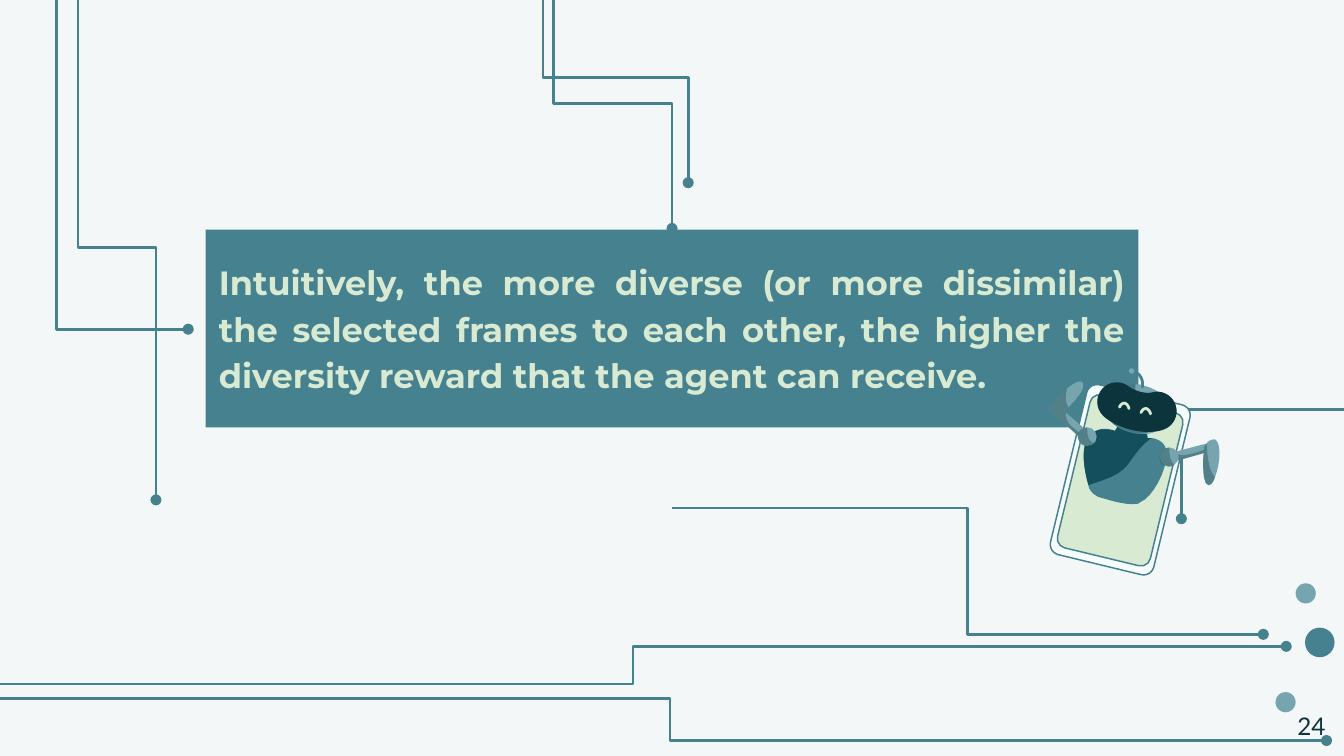
from dataclasses import dataclass
from typing import Optional

from lxml import etree
from pptx import Presentation
from pptx.dml.color import RGBColor
from pptx.enum.shapes import MSO_CONNECTOR, MSO_SHAPE
from pptx.enum.text import MSO_ANCHOR, PP_ALIGN
from pptx.oxml.ns import qn
from pptx.util import Inches, Pt

ELBOW = MSO_CONNECTOR.ELBOW
RECT, OVAL, ROUNDED = MSO_SHAPE.RECTANGLE, MSO_SHAPE.OVAL, MSO_SHAPE.ROUNDED_RECTANGLE
MIDDLE, TOP = MSO_ANCHOR.MIDDLE, MSO_ANCHOR.TOP
JUSTIFY, RIGHT = PP_ALIGN.JUSTIFY, PP_ALIGN.RIGHT


@dataclass(frozen=True)
class Theme:
    paper: str = "F3F7F8"
    teal: str = "45818E"
    mist: str = "76A5AF"
    deep: str = "134F5C"
    ink: str = "0C343D"
    mint: str = "D9EAD3"
    white: str = "F5FDFE"
    body_font: str = "Montserrat"
    number_font: str = "Lato"
    body_size: float = 18
    number_size: float = 13
    trace: float = 1.5
    outline: float = 0.78
    visor: float = 20.94


T = Theme()


@dataclass(frozen=True)
class Trace:
    x1: float
    y1: float
    x2: float
    y2: float
    vertical: bool = False
    bend_percent: Optional[float] = 50


@dataclass(frozen=True)
class Disc:
    x: float
    y: float
    size: float
    color: str = T.mist


@dataclass(frozen=True)
class Part:
    outline: str
    fill: Optional[str] = None
    alpha: int = 100
    line: Optional[str] = None
    width: float = T.trace


TRACES = [
    Trace(0.42, -0.21, 1.4, 2.45, True, None),
    Trace(0.58, -0.04, 1.16, 3.72, True),
    Trace(10.16, 2.23, 8.79, 3.86, True),
    Trace(-0.14, 5.2, 9.87, 5.51, bend_percent=51.2),
    Trace(-0.15, 5.09, 9.57, 4.81),
    Trace(4.12, -0.16, 5, 1.7, True),
    Trace(5, 3.78, 9.4, 4.72),
    Trace(4.04, -0.2, 5.12, 1.36, True),
]
DISCS = [Disc(9.71, 4.67, 0.22, T.teal), Disc(9.49, 5.15, 0.15), Disc(9.64, 4.34, 0.15)]

BODY = [
    Part("M 8.48 3.74 C 8.47 3.75 8.46 3.75 8.45 3.75 C 8.37 3.76 8.25 3.72 8.18 3.7 "
         "C 8.15 3.69 8.11 3.66 8.1 3.62 C 8.07 3.51 8.03 3.33 8.11 3.24 "
         "C 8.22 3.12 8.35 3.25 8.45 3.26 C 8.48 3.26 8.53 3.26 8.57 3.26 "
         "C 8.63 3.27 8.68 3.3 8.68 3.38 C 8.68 3.5 8.58 3.7 8.48 3.74", T.teal),
    Part("M 8.57 3.26 C 8.53 3.26 8.48 3.26 8.45 3.26 C 8.37 3.24 8.32 3.21 8.27 3.2 "
         "C 8.21 3.19 8.16 3.19 8.11 3.24 C 8.03 3.32 8.07 3.51 8.1 3.61 "
         "C 8.18 3.58 8.32 3.55 8.39 3.46 C 8.44 3.39 8.51 3.29 8.57 3.26", T.deep),
]
RIGHT_ARM = [
    Part("M 8.98 3.3 L 8.75 3.36 L 8.75 3.43 L 9 3.36 L 9 3.34", T.mist),
    Part("M 9 3.34 L 8.98 3.34 C 8.98 3.34 8.93 3.36 8.85 3.38 "
         "C 8.8 3.39 8.76 3.39 8.75 3.37 L 8.75 3.43 L 9 3.36", T.ink, 33),
    Part("M 9.04 3.27 C 9.01 3.27 8.99 3.28 8.98 3.3 C 8.97 3.31 8.96 3.33 8.96 3.33 "
         "C 8.96 3.33 8.93 3.59 8.99 3.61 C 9.01 3.61 9.03 3.59 9.04 3.55 "
         "C 9.08 3.46 9.09 3.29 9.04 3.27", T.mist),
    Part("M 8.98 3.3 C 8.97 3.31 8.96 3.33 8.96 3.33 C 8.96 3.33 8.93 3.59 8.99 3.61 "
         "C 9.01 3.61 9.03 3.59 9.04 3.55 C 8.99 3.5 8.98 3.36 8.98 3.3", T.ink, 33),
]
RIGHT_JOINT = Disc(8.63, 3.33, 0.14)
RIGHT_SHADE = [
    Part("M 8.7 3.33 C 8.67 3.33 8.64 3.35 8.63 3.39 C 8.62 3.42 8.64 3.46 8.68 3.47 "
         "C 8.7 3.48 8.72 3.47 8.74 3.46 C 8.7 3.43 8.7 3.36 8.7 3.33", T.ink, 33),
]
LEFT_ARM = [
    Part("M 7.89 3.03 L 7.84 3.08 L 8.03 3.25 L 8.05 3.24 L 8.07 3.19 L 7.93 3.07", T.mist),
    Part("M 7.88 3.03 L 7.84 3.08 L 8.03 3.25 L 8.05 3.24 C 8.05 3.24 8.03 3.22 7.97 3.17 "
         "C 7.93 3.13 7.93 3.09 7.93 3.07", T.ink, 33),
]
LEFT_JOINT = Disc(8.02, 3.18, 0.14)
LEFT_HAND = [
    Part("M 8.09 3.18 C 8.06 3.18 8.03 3.2 8.02 3.23 C 8.01 3.27 8.04 3.31 8.08 3.32 "
         "C 8.1 3.33 8.12 3.32 8.14 3.3 C 8.09 3.28 8.09 3.22 8.09 3.18", T.ink, 33),
    Part("M 8.05 2.84 C 8.03 2.83 7.99 2.85 7.94 2.89 C 7.87 2.94 7.79 3.03 7.81 3.06 "
         "C 7.82 3.08 7.83 3.08 7.84 3.09 C 7.87 3.09 7.9 3.07 7.9 3.07 "
         "C 7.9 3.07 7.93 3.05 7.95 3.03 C 8.01 2.97 8.09 2.88 8.05 2.84", T.mist),
    Part("M 7.94 2.89 C 7.87 2.94 7.79 3.03 7.81 3.06 C 7.82 3.08 7.83 3.08 7.84 3.09 "
         "C 7.87 3.09 7.9 3.07 7.9 3.07 C 7.9 3.07 7.93 3.05 7.95 3.03 "
         "C 7.92 2.99 7.93 2.93 7.94 2.89", T.ink, 33),
]
HEAD = [
    Part("M 8.51 3.19 C 8.47 3.19 8.44 3.19 8.42 3.19 C 8.4 3.18 8.39 3.17 8.36 3.15 "
         "C 8.33 3.15 8.31 3.18 8.3 3.2 C 8.29 3.22 8.29 3.23 8.31 3.25 "
         "C 8.34 3.27 8.37 3.29 8.39 3.29 C 8.43 3.3 8.46 3.3 8.51 3.29 "
         "C 8.54 3.29 8.54 3.28 8.54 3.26 C 8.54 3.24 8.53 3.21 8.51 3.19", T.deep),
    Part("M 8.23 2.91 C 8.22 2.91 8.2 2.92 8.2 2.93 L 8.18 3.01 "
         "C 8.18 3.02 8.18 3.03 8.2 3.04 L 8.23 3.05 L 8.26 2.92", T.mist),
    Part("M 8.51 2.87 C 8.49 2.86 8.47 2.86 8.45 2.86 C 8.34 2.85 8.24 2.9 8.21 2.98 "
         "C 8.19 3.08 8.28 3.19 8.42 3.22 C 8.46 3.23 8.5 3.23 8.54 3.23 "
         "C 8.63 3.21 8.69 3.17 8.71 3.1 C 8.73 3 8.64 2.9 8.51 2.87", T.mist),
    Part("M 8.45 2.86 C 8.34 2.85 8.24 2.9 8.21 2.98 C 8.19 3.08 8.28 3.19 8.42 3.22 "
         "C 8.46 3.23 8.5 3.23 8.54 3.22 C 8.44 3.14 8.44 2.95 8.45 2.86", T.deep, 50),
    Part("M 8.5 2.88 C 8.5 2.88 8.52 2.78 8.42 2.76", line=T.teal),
]
ANTENNA_TIP = Disc(8.4, 2.74, 0.04)
FACE = [
    Part("M 8.69 3.03 L 8.66 3.15 L 8.7 3.16 C 8.71 3.16 8.72 3.15 8.73 3.14 "
         "L 8.75 3.06 C 8.75 3.05 8.74 3.04 8.73 3.03", T.mist),
    Part("M 8.31 2.99 C 8.31 2.99 8.35 3.03 8.46 3.06 C 8.56 3.08 8.61 3.06 8.61 3.06",
         line=T.ink, width=T.visor),
    Part("M 8.33 3.03 C 8.34 3.01 8.35 3 8.37 3 C 8.39 3.01 8.4 3.03 8.4 3.04", line=T.mint),
    Part("M 8.49 3.07 C 8.5 3.05 8.51 3.04 8.53 3.04 C 8.55 3.05 8.56 3.07 8.56 3.08", line=T.mint),
]
ROBOT = [*BODY, *RIGHT_ARM, RIGHT_JOINT, *RIGHT_SHADE, *LEFT_ARM, LEFT_JOINT, *LEFT_HAND,
         *HEAD, ANTENNA_TIP, *FACE]


def paint(sp, fill: Optional[str], line: Optional[str] = None, width: float = T.trace) -> None:
    sp.shadow.inherit = False
    if fill:
        sp.fill.solid()
        sp.fill.fore_color.rgb = RGBColor.from_string(fill)
    else:
        sp.fill.background()
    if line:
        sp.line.color.rgb = RGBColor.from_string(line)
        sp.line.width = Pt(width)
    else:
        sp.line.fill.background()


def add_preset(s, kind, x: float, y: float, w: float, h: float, fill: str, line: Optional[str] = None):
    sp = s.shapes.add_shape(kind, Inches(x), Inches(y), Inches(w), Inches(h))
    paint(sp, fill, line, T.outline)
    return sp


def add_trace(s, t: Trace) -> None:
    x1, y1, x2, y2 = t.x1, t.y1, t.x2, t.y2
    if t.vertical:
        cx, cy = (x1 + x2) / 2, (y1 + y2) / 2
        w, h = abs(y2 - y1), abs(x2 - x1)
        x1, y1, x2, y2 = cx - w / 2, cy - h / 2, cx + w / 2, cy + h / 2
    c = s.shapes.add_connector(ELBOW, Inches(x1), Inches(y1), Inches(x2), Inches(y2))
    c.line.color.rgb = RGBColor.from_string(T.teal)
    c.line.width = Pt(T.trace)
    pr = c._element.spPr
    if t.vertical:
        xfrm = pr.find(qn("a:xfrm"))
        xfrm.set("rot", "16200000" if t.x2 > t.x1 else "5400000")
        if t.x2 > t.x1:
            xfrm.set("flipH", "1")
    geom = pr.find(qn("a:prstGeom"))
    if t.bend_percent is None:
        geom.set("prst", "bentConnector2")
    else:
        bend = f"val {round(t.bend_percent * 1000)}"
        etree.SubElement(geom.find(qn("a:avLst")), qn("a:gd"), name="adj1", fmla=bend)
    etree.SubElement(pr.find(qn("a:ln")), qn("a:tailEnd"), type="oval")
    etree.SubElement(pr, qn("a:effectLst"))


def trace_points(outline: str, steps: int = 8) -> list[tuple[float, float]]:
    tokens = outline.split()
    points: list[tuple[float, float]] = []
    i = 0
    while i < len(tokens):
        n = 6 if tokens[i] == "C" else 2
        v = [float(k) for k in tokens[i + 1:i + 1 + n]]
        if n == 2:
            points.append((v[0], v[1]))
        else:
            curve = [points[-1], *zip(v[::2], v[1::2])]
            for u in (k / steps for k in range(1, steps + 1)):
                weights = ((1 - u) ** 3, 3 * u * (1 - u) ** 2, 3 * u * u * (1 - u), u ** 3)
                points.append((sum(a * p[0] for a, p in zip(weights, curve)),
                               sum(a * p[1] for a, p in zip(weights, curve))))
        i += n + 1
    return points


def add_part(s, part: Part) -> None:
    points = [(Inches(x), Inches(y)) for x, y in trace_points(part.outline)]
    fb = s.shapes.build_freeform(*points[0])
    fb.add_line_segments(points[1:], close=part.fill is not None)
    sp = fb.convert_to_shape()
    paint(sp, part.fill, part.line, part.width)
    if part.line:
        sp.line._ln.set("cap", "rnd")
    if part.alpha < 100:
        color = sp._element.spPr.find(qn("a:solidFill"))[0]
        etree.SubElement(color, qn("a:alpha"), val=str(part.alpha * 1000))


def add_disc(s, d: Disc) -> None:
    add_preset(s, OVAL, d.x, d.y, d.size, d.size, d.color)


def write(sp, text: str, font: str, size: float, color: str, align, anchor, bold: bool = False) -> None:
    tf = sp.text_frame
    tf.word_wrap = True
    tf.vertical_anchor = anchor
    tf.margin_left = tf.margin_right = tf.margin_top = tf.margin_bottom = Inches(0.1)
    p = tf.paragraphs[0]
    p.text = text
    p.alignment = align
    p.font.name, p.font.size, p.font.bold = font, Pt(size), bold
    p.font.color.rgb = RGBColor.from_string(color)


def main() -> None:
    prs = Presentation()
    prs.slide_width, prs.slide_height = Inches(10), Inches(10 * 9 / 16)
    s = prs.slides.add_slide(prs.slide_layouts[6])
    s.background.fill.solid()
    s.background.fill.fore_color.rgb = RGBColor.from_string(T.paper)
    for t in TRACES:
        add_trace(s, t)
    for d in DISCS:
        add_disc(s, d)

    banner = add_preset(s, RECT, 1.53, 1.71, 6.94, 1.47, T.teal)
    write(banner, "Intuitively, the more diverse (or more dissimilar) the selected frames to each other, "
          "the higher the diversity reward that the agent can receive.",
          T.body_font, T.body_size, T.mint, JUSTIFY, MIDDLE, True)
    banner.text_frame.paragraphs[0].line_spacing = 1.15
    banner.text_frame.margin_bottom = Inches(0.14)

    for box, fill in (((7.94, 2.92, 0.79, 1.3), T.white), ((7.98, 2.99, 0.71, 1.17), T.mint)):
        phone = add_preset(s, ROUNDED, *box, fill, T.teal)
        phone.rotation = 13.6
        phone.adjustments[0] = 0.1
    for item in ROBOT:
        if isinstance(item, Disc):
            add_disc(s, item)
        else:
            add_part(s, item)

    number = s.shapes.add_textbox(Inches(9.36), Inches(5.19), Inches(0.6), Inches(0.43))
    write(number, "24", T.number_font, T.number_size, T.ink, RIGHT, TOP)
    prs.save("out.pptx")


if __name__ == "__main__":
    main()
